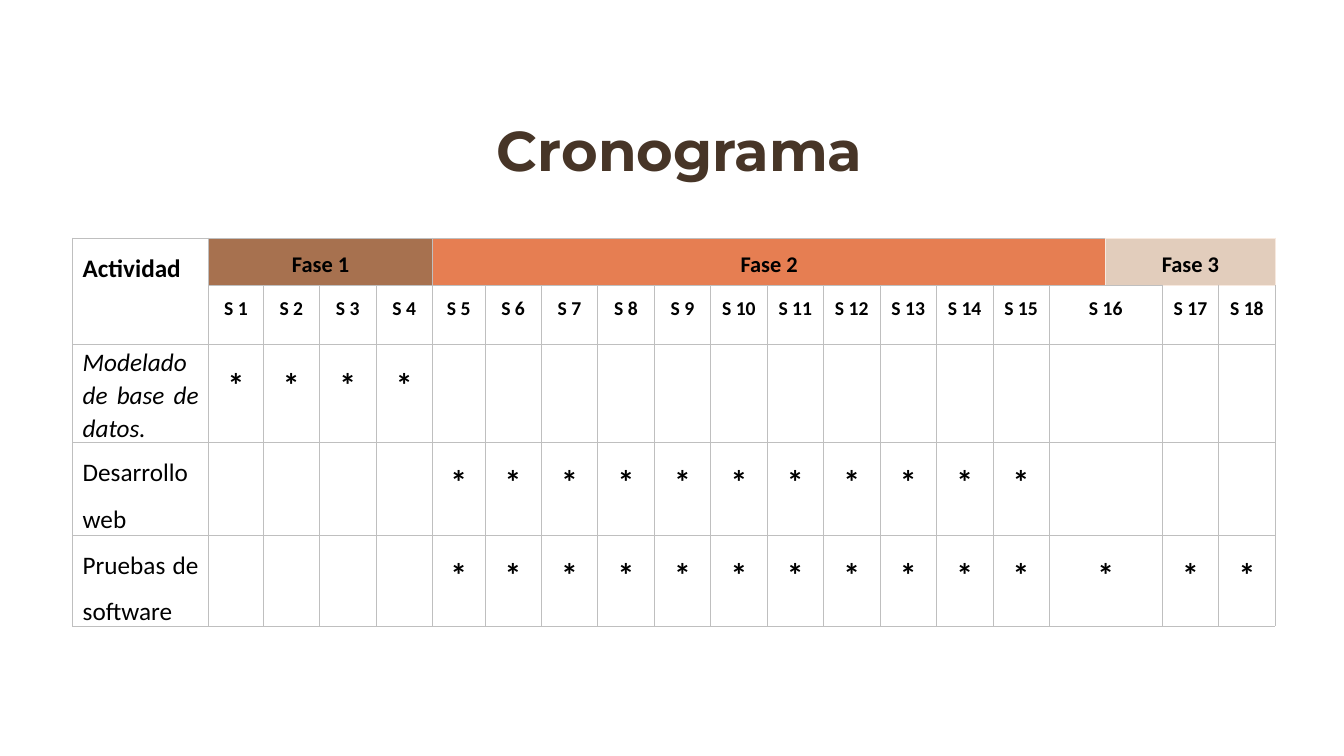
"""Build the project schedule slide."""
from pptx import Presentation
from pptx.dml.color import RGBColor
from pptx.enum.text import MSO_ANCHOR, PP_ALIGN
from pptx.oxml import parse_xml
from pptx.oxml.ns import nsdecls
from pptx.util import Inches, Pt

TITLE = "Cronograma"
HEAD = "Actividad"
PHASES = [("Fase 1", 1, 4, "A7714F"), ("Fase 2", 5, 16, "E67E52"), ("Fase 3", 17, 19, "E2CDBC")]
TASKS = [
    ("Modelado de base de datos.", 1.08, True, range(1, 5)),
    ("Desarrollo web", 1.5, False, range(5, 16)),
    ("Pruebas de software", 1.5, False, range(5, 19)),
]
WEEKS = range(1, 19)
WIDE = 16
COLS = [1.35, 0.54] + [0.56] * 3 + [0.52] + [0.56] * 14
ROWS = [0.47, 0.59, 0.97, 0.92, 0.85]
GRAY, CREAM = "BFBFBF", "F7E9DF"


def color(code):
    return RGBColor.from_string(code)


def write(cell, text, size, bold=True, italic=False, align=PP_ALIGN.CENTER, gap=1.5):
    cell.margin_left = cell.margin_right = Inches(0.1)
    cell.margin_top = cell.margin_bottom = 0
    para = cell.text_frame.paragraphs[0]
    para.text = text
    para.alignment, para.line_spacing, para.space_after = align, gap, Pt(11)
    font = para.font
    font.name, font.size, font.bold, font.italic = "Calibri", Pt(size), bold, italic
    font.color.rgb = color("000000")


def edge(row, col, side):
    if row == 0 and (col >= 17 or (col == 16 and side == "R")):
        return CREAM
    if row == 1 and col >= 18 and side == "T":
        return CREAM
    return GRAY


def border(cell, row, col):
    props = cell._tc.get_or_add_tcPr()
    for side in "LRTB":
        props.append(parse_xml(
            f'<a:ln{side} {nsdecls("a")} w="6350"><a:solidFill>'
            f'<a:srgbClr val="{edge(row, col, side)}"/></a:solidFill></a:ln{side}>'))


def place(week):
    return week + (week > WIDE)


def add_title(slide):
    box = slide.shapes.add_textbox(Inches(2.98), Inches(0.73), Inches(7.52), Inches(1.5))
    frame = box.text_frame
    frame.word_wrap, frame.vertical_anchor = True, MSO_ANCHOR.MIDDLE
    frame.margin_left = frame.margin_right = Inches(0.13)
    frame.margin_top = frame.margin_bottom = Inches(0.13)
    para = frame.paragraphs[0]
    para.text, para.alignment = TITLE, PP_ALIGN.CENTER
    font = para.font
    font.name, font.size, font.bold = "Montserrat", Pt(40), True
    font.color.rgb = color("473527")


def add_plan(slide):
    table = slide.shapes.add_table(
        len(ROWS), len(COLS), Inches(0.72), Inches(2.36),
        Inches(sum(COLS)), Inches(sum(ROWS))).table
    table.first_row = table.horz_banding = False
    for col, width in zip(table.columns, COLS):
        col.width = Inches(width)
    for row, height in zip(table.rows, ROWS):
        row.height = Inches(height)
    for row in range(len(ROWS)):
        for col in range(len(COLS)):
            cell = table.cell(row, col)
            border(cell, row, col)
            cell.fill.background()

    table.cell(0, 0).merge(table.cell(1, 0))
    write(table.cell(0, 0), HEAD, 18, align=PP_ALIGN.JUSTIFY)
    for name, first, last, fill in PHASES:
        cell = table.cell(0, first)
        cell.merge(table.cell(0, last))
        cell.fill.solid()
        cell.fill.fore_color.rgb = color(fill)
        write(cell, name, 16)
    for row in range(1, len(ROWS)):
        table.cell(row, WIDE).merge(table.cell(row, WIDE + 1))
    for week in WEEKS:
        write(table.cell(1, place(week)), f"S {week}", 14)
    for row, (name, gap, italic, weeks) in enumerate(TASKS, 2):
        write(table.cell(row, 0), name, 18, False, italic, PP_ALIGN.JUSTIFY, gap)
        for week in weeks:
            write(table.cell(row, place(week)), "*", 24)


def main():
    deck = Presentation()
    deck.slide_width, deck.slide_height = Inches(13.33), Inches(7.5)
    slide = deck.slides.add_slide(deck.slide_layouts[6])
    add_title(slide)
    add_plan(slide)
    deck.save("out.pptx")


if __name__ == "__main__":
    main()
